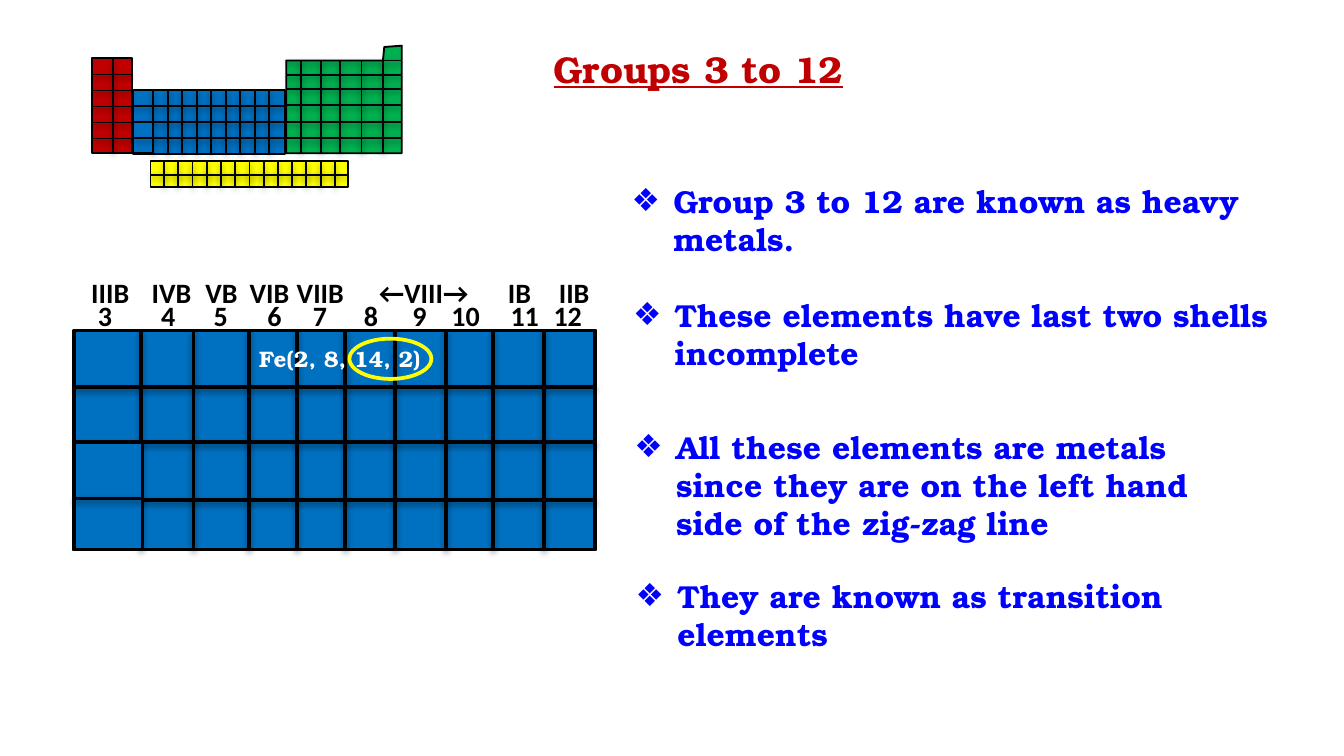
from dataclasses import dataclass

from lxml import etree
from pptx import Presentation
from pptx.dml.color import RGBColor
from pptx.enum.shapes import MSO_CONNECTOR, MSO_SHAPE
from pptx.enum.text import MSO_ANCHOR, MSO_AUTO_SIZE, PP_ALIGN
from pptx.oxml.ns import qn
from pptx.util import Inches, Pt

RECTANGLE, ELLIPSE = MSO_SHAPE.RECTANGLE, MSO_SHAPE.OVAL
STRAIGHT = MSO_CONNECTOR.STRAIGHT
LEFT, TOP, MIDDLE = PP_ALIGN.LEFT, MSO_ANCHOR.TOP, MSO_ANCHOR.MIDDLE
FIXED = MSO_AUTO_SIZE.NONE
COMPARISON_LAYOUT = 4
COLUMNS, ROWS = 100, 56.25


@dataclass(frozen=True)
class Theme:
    """Colours, fonts and type sizes of the slide."""
    red: str = "C00000"
    blue: str = "0070C0"
    green: str = "00B050"
    yellow: str = "FFFF00"
    black: str = "000000"
    white: str = "FFFFFF"
    bullet_blue: str = "0000FF"
    serif: str = "TeX Gyre Bonum"
    sans: str = "Calibri"
    title_size: float = 20
    body_size: float = 17
    label_size: float = 15
    formula_size: float = 12
    thick: float = 2
    thin: float = 1


THEME = Theme()

BULLETS = (
    ("Group 3 to 12 are known as heavy metals.", (46, 13, 49.3, 6.7)),
    ("These elements have last two shells incomplete", (46.1, 21.5, 51.1, 6.7)),
    ("All these elements are metals since they are on the left hand side of the zig-zag line",
     (46.2, 31.3, 48.1, 9.6)),
    ("They are known as transition elements", (46.3, 42.4, 44.8, 6.7)),
)
FAMILY_LABELS = (
    ("IIIB", 5.8, 4.9), ("IVB", 10.3, 5), ("VB", 14.3, 4.4), ("VIB", 17.6, 5),
    ("VIIB", 21.1, 5.6), ("←VIII→", 27.2, 8.8), ("IB", 36.8, 3.8), ("IIB", 40.6, 4.3),
)
GROUP_LEFTS = (6.3, 11, 14.9, 18.9, 22.3, 26.1, 29.7, 32.6, 37, 40.2)


def grid(*cells):
    """Turn counts of grid cells into slide lengths."""
    return [Inches(cell * 10 / COLUMNS) for cell in cells]


def steps(start, gap, count):
    """Return evenly spaced grid positions."""
    return [start + gap * index for index in range(count)]


def colour(code):
    """Return the colour for a hex code."""
    return RGBColor.from_string(code)


def add_run(para, text, font, size, code, underline=False):
    """Add one bold run to a paragraph."""
    span = para.add_run()
    span.text = text
    span.font.name = font
    span.font.size = Pt(size)
    span.font.bold = True
    span.font.underline = underline
    span.font.color.rgb = colour(code)


def prepare_placeholder(box, area):
    """Move a placeholder and return its first paragraph."""
    box.left, box.top, box.width, box.height = grid(*area)
    frame = box.text_frame
    frame.word_wrap = True
    frame.auto_size = FIXED
    frame.vertical_anchor = TOP
    para = frame.paragraphs[0]
    para.alignment = LEFT
    para.space_before = Pt(0)
    return para


def add_bullet(box, text, area):
    """Fill a body placeholder with one bulleted statement."""
    para = prepare_placeholder(box, area)
    settings = para._p.get_or_add_pPr()
    settings.set("marL", str(Inches(0.31)))
    settings.set("indent", str(-Inches(0.31)))
    etree.SubElement(settings, qn("a:buChar"), char="❖")
    add_run(para, text, THEME.serif, THEME.body_size, THEME.bullet_blue)


def add_label(page, text, area, font, size, code):
    """Add a one-line label that does not wrap."""
    box = page.shapes.add_textbox(*grid(*area))
    frame = box.text_frame
    frame.word_wrap = False
    frame.vertical_anchor = MIDDLE
    add_run(frame.paragraphs[0], text, font, size, code)


def style_outline(shape, code, weight):
    """Set a shape's line and remove its shadow."""
    shape.shadow.inherit = False
    shape.line.color.rgb = colour(code)
    shape.line.width = Pt(weight)


def add_rule(page, start, end, weight):
    """Draw a black line with a soft shadow below it."""
    rule = page.shapes.add_connector(STRAIGHT, *grid(*start, *end))
    rule.line.color.rgb = colour(THEME.black)
    rule.line.width = Pt(weight)
    effects = etree.SubElement(rule._element.spPr, qn("a:effectLst"))
    shadow = etree.SubElement(effects, qn("a:outerShdw"), blurRad=str(Pt(3.1)),
                              dist=str(Pt(1.6)), dir="5400000", rotWithShape="0")
    tint = etree.SubElement(shadow, qn("a:srgbClr"), val=THEME.black)
    etree.SubElement(tint, qn("a:alpha"), val="38000")


def add_rules(page, area, columns, rows, weight):
    """Divide an area at the given columns and rows."""
    left, top, width, height = area
    for column in columns:
        add_rule(page, (column, top), (column, top + height), weight)
    for row in rows:
        add_rule(page, (left, row), (left + width, row), weight)


def add_block(page, area, fill, columns, rows, weight):
    """Draw a filled rectangle divided into cells."""
    block = page.shapes.add_shape(RECTANGLE, *grid(*area))
    block.fill.solid()
    block.fill.fore_color.rgb = colour(fill)
    style_outline(block, THEME.black, weight)
    add_rules(page, area, columns, rows, weight)


def add_stepped_block(page):
    """Draw the green block with its raised corner cell."""
    corners = [grid(*corner) for corner in (
        (21.3, 4.5), (28.5, 4.5), (28.6, 3.5), (29.9, 3.4), (29.9, 11.4), (21.3, 11.4))]
    builder = page.shapes.build_freeform(*corners[0])
    builder.add_line_segments(corners[1:], close=True)
    block = builder.convert_to_shape()
    block.fill.solid()
    block.fill.fore_color.rgb = colour(THEME.green)
    style_outline(block, THEME.black, THEME.thin)
    add_rules(page, (21.3, 4.5, 8.5, 6.9), (22.4, 23.9, 25.3, 26.9, 28.5),
              (4.5, 5.6, 6.6, 7.8, 9.1, 10.3), THEME.thin)


def add_small_table(page):
    """Draw the small periodic table."""
    thin = THEME.thin
    add_block(page, (6.85, 4.3, 3, 7.1), THEME.red, (8.4,), steps(5.55, 1.19, 5), thin)
    add_block(page, (9.9, 6.7, 11.3, 4.75), THEME.blue,
              steps(11.4, 1.08, 9), steps(7.9, 1.2, 3), thin)
    add_block(page, (9.9, 9.1, 1.5, 2.3), THEME.blue, (), (10.3,), thin)
    add_stepped_block(page)
    add_block(page, (11.2, 12, 14.7, 1.9), THEME.yellow, steps(12.2, 1.06, 13), (13,), thin)


def add_group_table(page):
    """Draw the enlarged block of groups 3 to 12 with its labels."""
    thick = THEME.thick
    add_block(page, (5.5, 24.6, 38.8, 16.3), THEME.blue,
              (10.5, 14.4, 18.5, 22.1, 25.7, 29.4, 33.2, 36.7, 40.5),
              (28.8, 32.9, 37.2), thick)
    add_block(page, (5.5, 32.9, 5.1, 8), THEME.blue, (), (37.1,), thick)
    labels = [(text, (left, 20, width, 3.5)) for text, left, width in FAMILY_LABELS]
    for group, left in enumerate(GROUP_LEFTS, start=3):
        labels.append((str(group), (left, 21.7, 3.1 if group < 10 else 4.2, 3.5)))
    for text, area in labels:
        add_label(page, text, area, THEME.sans, THEME.label_size, THEME.black)


def add_iron_example(page):
    """Write the shells of iron and ring the last two."""
    add_label(page, "Fe(2, 8, 14, 2)", (18.3, 25.2, 14.2, 3),
              THEME.serif, THEME.formula_size, THEME.white)
    ring = page.shapes.add_shape(ELLIPSE, *grid(26, 25.2, 6.1, 3))
    ring.fill.background()
    style_outline(ring, THEME.yellow, THEME.thick)


def main():
    """Build the slide and save the deck."""
    deck = Presentation()
    deck.slide_width, deck.slide_height = grid(COLUMNS, ROWS)
    page = deck.slides.add_slide(deck.slide_layouts[COMPARISON_LAYOUT])
    title, *bodies = page.placeholders
    para = prepare_placeholder(title, (40.2, 2.9, 25.3, 4.4))
    add_run(para, "Groups 3 to 12", THEME.serif, THEME.title_size, THEME.red, underline=True)
    for box, (text, area) in zip(bodies, BULLETS):
        add_bullet(box, text, area)
    add_group_table(page)
    add_small_table(page)
    add_iron_example(page)
    deck.save("out.pptx")


if __name__ == "__main__":
    main()
